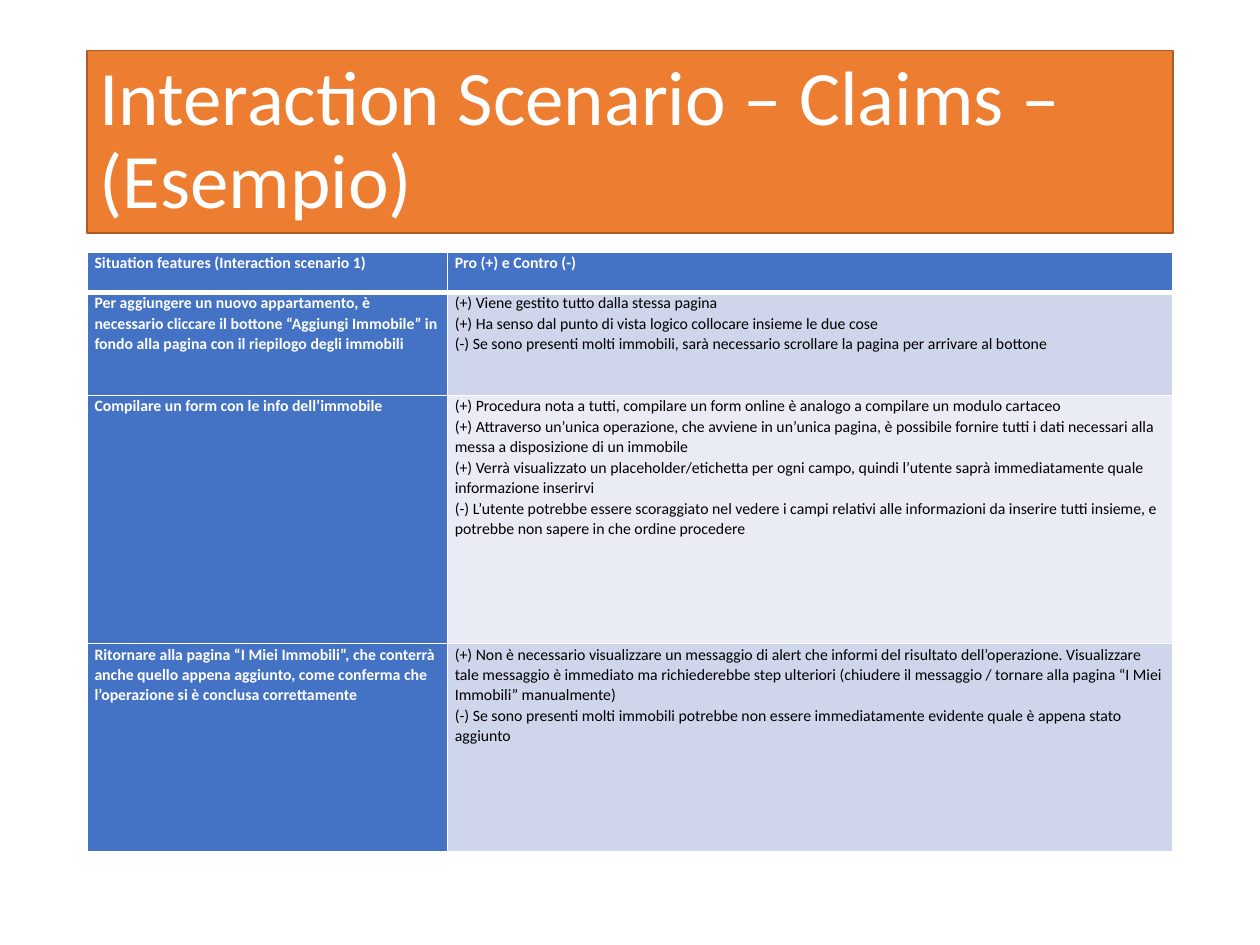
import dataclasses

import pptx
import pptx.dml.color
import pptx.enum.shapes
import pptx.enum.text
import pptx.oxml
import pptx.oxml.ns
import pptx.util

Inches = pptx.util.Inches
Pt = pptx.util.Pt


@dataclasses.dataclass(frozen=True)
class Theme:
    font: str = "Calibri"
    title_size: float = 44
    table_size: float = 9
    light: str = "FFFFFF"
    dark: str = "000000"
    title_fill: str = "ED7D31"
    title_line: str = "AF5C24"
    header_fill: str = "4472C4"
    bands: tuple = ("CFD5EA", "E9EBF5")


THEME = Theme()
LEFT, WIDTH = 0.69, 8.62
TITLE_TOP, TITLE_HEIGHT = 0.4, 1.45
TABLE_TOP = 2
COLUMN_WIDTHS = (2.86, 5.76)
ROW_HEIGHTS = (0.32, 0.82, 1.97, 1.65)

TITLE = "Interaction Scenario – Claims – (Esempio)"
HEADER = ("Situation features (Interaction scenario 1)", "Pro (+) e Contro (-)")
CLAIMS = (
    (
        "Per aggiungere un nuovo appartamento, è necessario cliccare il bottone "
        "“Aggiungi Immobile” in fondo alla pagina con il riepilogo degli immobili",
        "(+) Viene gestito tutto dalla stessa pagina\n"
        "(+) Ha senso dal punto di vista logico collocare insieme le due cose\n"
        "(-) Se sono presenti molti immobili, sarà necessario scrollare la pagina "
        "per arrivare al bottone",
    ),
    (
        "Compilare un form con le info dell’immobile",
        "(+) Procedura nota a tutti, compilare un form online è analogo a "
        "compilare un modulo cartaceo\n"
        "(+) Attraverso un’unica operazione, che avviene in un’unica pagina, è "
        "possibile fornire tutti i dati necessari alla messa a disposizione di "
        "un immobile\n"
        "(+) Verrà visualizzato un placeholder/etichetta per ogni campo, quindi "
        "l’utente saprà immediatamente quale informazione inserirvi\n"
        "(-) L’utente potrebbe essere scoraggiato nel vedere i campi relativi "
        "alle informazioni da inserire tutti insieme, e potrebbe non sapere in "
        "che ordine procedere",
    ),
    (
        "Ritornare alla pagina “I Miei Immobili”, che conterrà anche quello "
        "appena aggiunto, come conferma che l’operazione si è conclusa "
        "correttamente",
        "(+) Non è necessario visualizzare un messaggio di alert che informi del "
        "risultato dell’operazione. Visualizzare tale messaggio è immediato ma "
        "richiederebbe step ulteriori (chiudere il messaggio / tornare alla "
        "pagina “I Miei Immobili” manualmente)\n"
        "(-) Se sono presenti molti immobili potrebbe non essere immediatamente "
        "evidente quale è appena stato aggiunto",
    ),
)


def rgb(value):
    return pptx.dml.color.RGBColor.from_string(value)


def write_text(frame, text, size, color, spacing, bold=False):
    frame.text = text
    frame.word_wrap = True
    for paragraph in frame.paragraphs:
        paragraph.alignment = pptx.enum.text.PP_ALIGN.LEFT
        paragraph.line_spacing = spacing
        paragraph.font.name = THEME.font
        paragraph.font.size = Pt(size)
        paragraph.font.bold = bold
        paragraph.font.color.rgb = rgb(color)


def add_title(slide):
    shape = slide.shapes.add_shape(
        pptx.enum.shapes.MSO_SHAPE.RECTANGLE,
        Inches(LEFT), Inches(TITLE_TOP), Inches(WIDTH), Inches(TITLE_HEIGHT))
    shape.shadow.inherit = False
    shape.fill.solid()
    shape.fill.fore_color.rgb = rgb(THEME.title_fill)
    shape.line.color.rgb = rgb(THEME.title_line)
    shape.line.width = Pt(1)
    shape.text_frame.vertical_anchor = pptx.enum.text.MSO_ANCHOR.MIDDLE
    write_text(shape.text_frame, TITLE, THEME.title_size, THEME.light, 0.9)


def add_borders(cell, widths):
    properties = cell._tc.get_or_add_tcPr()
    for side, width in widths.items():
        properties.append(pptx.oxml.parse_xml(
            f'<a:ln{side} {pptx.oxml.ns.nsdecls("a")} w="{Pt(width)}">'
            f'<a:solidFill><a:srgbClr val="{THEME.light}"/></a:solidFill>'
            f'</a:ln{side}>'))


def fill_cell(cell, text, fill, color, bold, widths):
    cell.margin_left = cell.margin_right = Inches(0.06)
    cell.margin_top = cell.margin_bottom = 0
    add_borders(cell, widths)
    cell.fill.solid()
    cell.fill.fore_color.rgb = rgb(fill)
    write_text(cell.text_frame, text, THEME.table_size, color, 1.07, bold)


def add_claims_table(slide):
    rows = (HEADER, *CLAIMS)
    table = slide.shapes.add_table(
        len(rows), len(HEADER), Inches(LEFT), Inches(TABLE_TOP),
        Inches(WIDTH), Inches(sum(ROW_HEIGHTS))).table
    table.first_row = table.horz_banding = False
    for column, width in zip(table.columns, COLUMN_WIDTHS):
        column.width = Inches(width)
    for row, height in zip(table.rows, ROW_HEIGHTS):
        row.height = Inches(height)

    for row_index, texts in enumerate(rows):
        # A thick rule separates the header from the claims
        widths = {"L": 1, "R": 1,
                  "T": 3 if row_index == 1 else 1,
                  "B": 3 if row_index == 0 else 1}
        for column_index, text in enumerate(texts):
            heading = row_index == 0 or column_index == 0
            band = THEME.bands[(row_index - 1) % len(THEME.bands)]
            fill_cell(
                table.cell(row_index, column_index), text,
                THEME.header_fill if heading else band,
                THEME.light if heading else THEME.dark, heading, widths)


def main():
    presentation = pptx.Presentation()
    presentation.slide_width = Inches(10)
    presentation.slide_height = Inches(7.5)
    slide = presentation.slides.add_slide(presentation.slide_layouts[6])
    add_title(slide)
    add_claims_table(slide)
    presentation.save("out.pptx")


if __name__ == "__main__":
    main()
